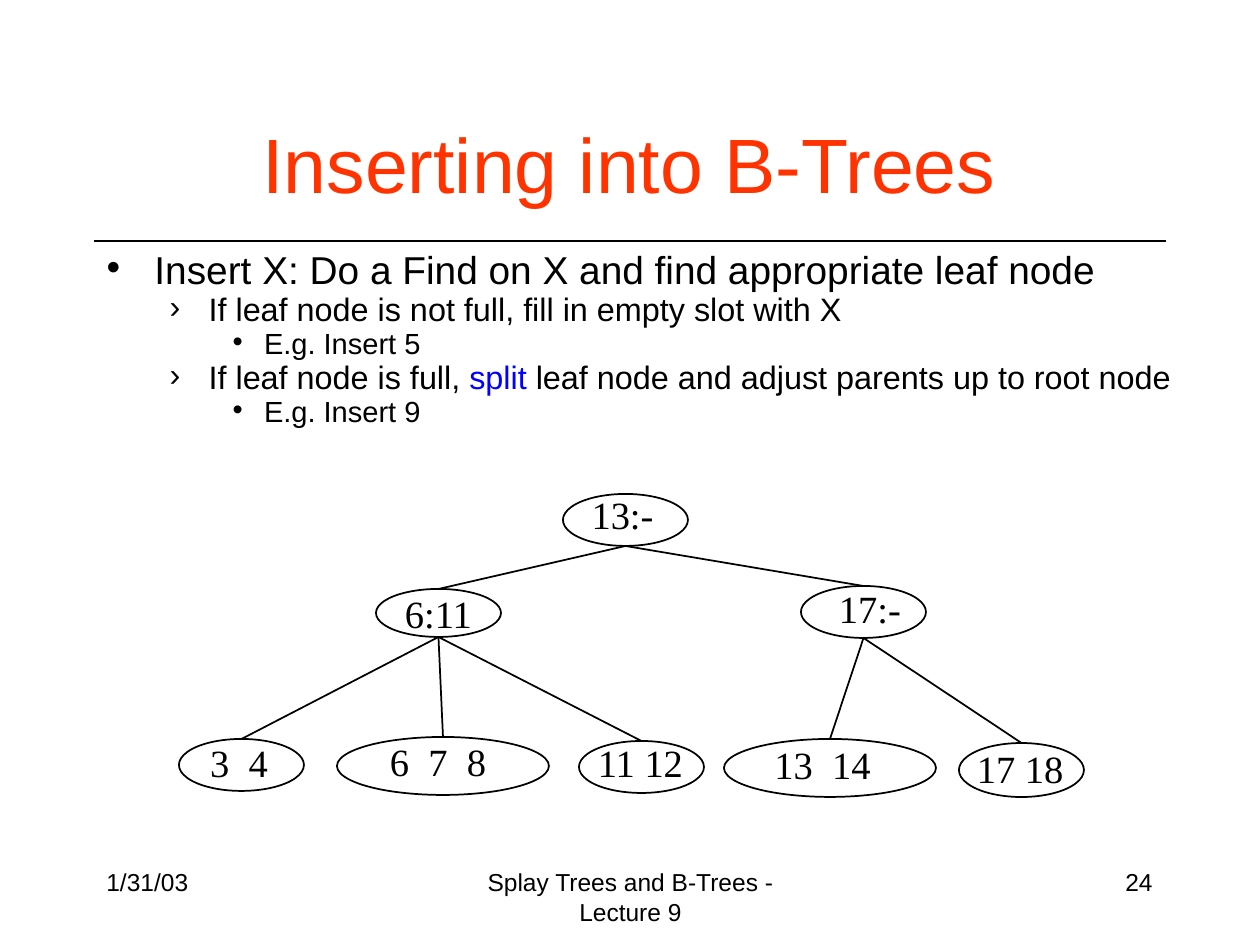
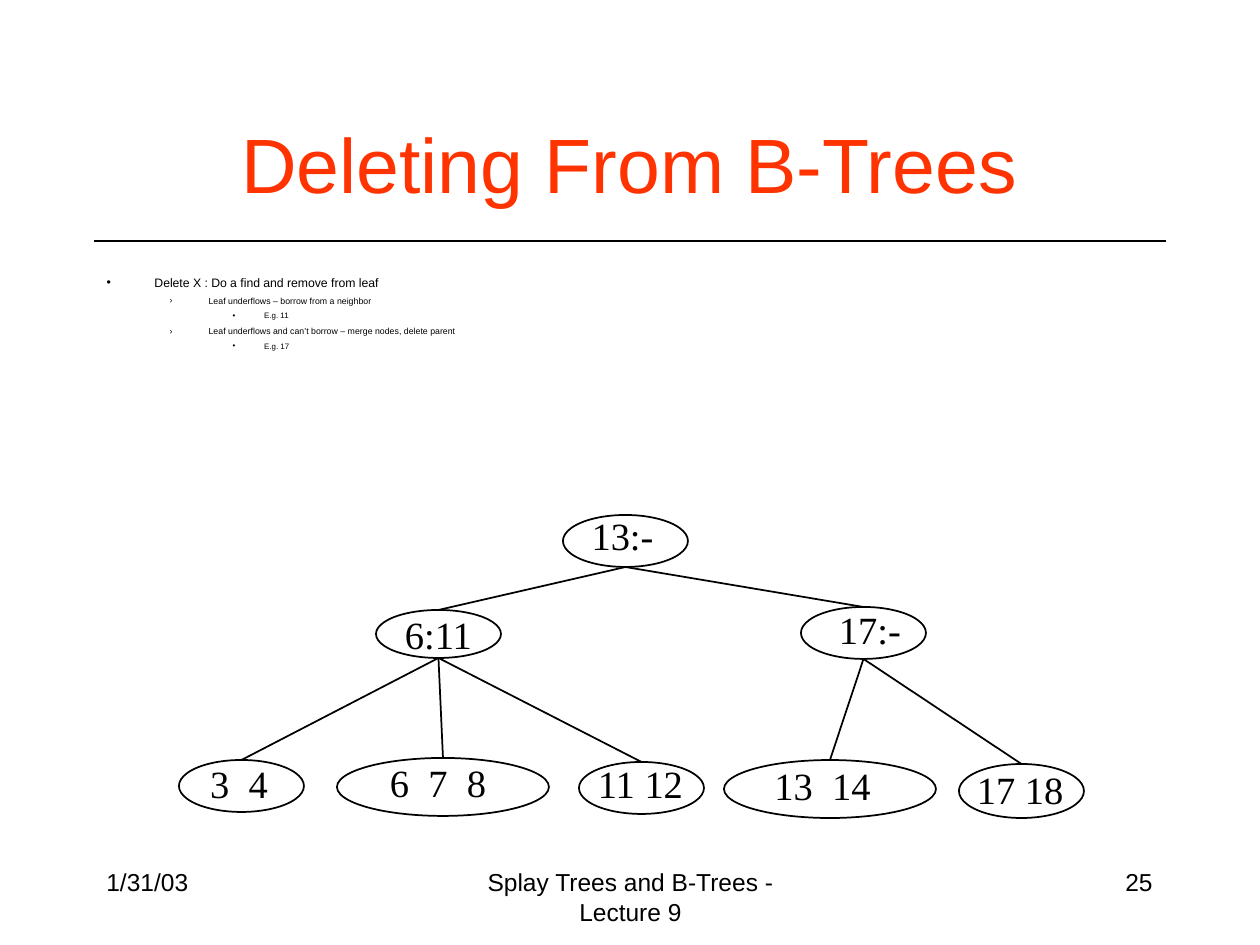
"""Builds two lecture slides on inserting into and deleting from B-trees."""
from lxml.etree import SubElement
from pptx import Presentation
from pptx.dml.color import RGBColor
from pptx.enum.shapes import MSO_CONNECTOR, MSO_SHAPE
from pptx.enum.text import MSO_ANCHOR, MSO_AUTO_SIZE, PP_ALIGN
from pptx.oxml.ns import qn
from pptx.util import Emu, Inches, Pt

PIXELS_PER_INCH = 126
BLACK, RED, BLUE = "000000", "FF3300", "0000FF"
SANS, SERIF = "Arial", "Times New Roman"
LEVELS = [("•", 0.38, 0.38), ("›", 0.81, 0.31), ("•", 1.25, 0.25)]

NODES = {
    "13:-": ((563, 494, 125, 52), (587, 498, 71)),
    "6:11": ((376, 589, 125, 48), (393, 597, 91)),
    "17:-": ((801, 586, 125, 52), (832, 592, 76)),
    "3  4": ((179, 739, 125, 52), (209, 746, 60)),
    "6  7  8": ((337, 737, 212, 58), (388, 745, 100)),
    "11 12": ((579, 741, 125, 52), (583, 746, 115)),
    "13  14": ((724, 739, 212, 58), (772, 748, 101)),
    "17 18": ((959, 743, 125, 54), (974, 752, 92)),
}
CHILDREN = {
    "13:-": ["6:11", "17:-"],
    "6:11": ["3  4", "6  7  8", "11 12"],
    "17:-": ["13  14", "17 18"],
}
LABEL_HEIGHT = 39


def px(length):
    """Turn pixels into EMU."""
    return Emu(round(length * Inches(1) / PIXELS_PER_INCH))


def color(value):
    """Turn a hex string into a colour."""
    return RGBColor.from_string(value)


class LectureDeck:
    """Holds the lecture style and the current slide."""

    def __init__(self):
        """Start an empty 10 by 7.5 inch deck."""
        self.deck = Presentation()
        self.deck.slide_width, self.deck.slide_height = Inches(10), Inches(7.5)
        self.slide = None

    def start_slide(self, title, number):
        """Add a slide with its title, rule and footers."""
        self.slide = self.deck.slides.add_slide(self.deck.slide_layouts[1])
        box = self.slide.shapes.title
        self.place(box, 94, 84, 1071, 158)
        frame = box.text_frame
        frame.text = title
        frame.vertical_anchor = MSO_ANCHOR.MIDDLE
        frame.auto_size = MSO_AUTO_SIZE.NONE
        frame.paragraphs[0].alignment = PP_ALIGN.CENTER
        self.style(frame.paragraphs[0].runs[0], 44, SANS, RED)
        self.line(94, 241, 1166, 241, 0.75)
        self.footer("1/31/03", 94, 262, PP_ALIGN.LEFT)
        self.footer("Splay Trees and B-Trees - Lecture 9", 431, 399, PP_ALIGN.CENTER)
        self.footer(str(number), 903, 262, PP_ALIGN.RIGHT)

    def place(self, shape, left, top, width, height):
        """Move and size a shape."""
        shape.left, shape.top = px(left), px(top)
        shape.width, shape.height = px(width), px(height)

    def style(self, span, size, font, hex_color=BLACK):
        """Format one run."""
        span.font.size = Pt(size)
        span.font.name = font
        span.font.color.rgb = color(hex_color)

    def text(self, text, left, top, width, height, size, font, alignment):
        """Add a text box of one paragraph."""
        box = self.slide.shapes.add_textbox(px(left), px(top), px(width), px(height))
        frame = box.text_frame
        frame.text = text
        frame.word_wrap = True
        frame.paragraphs[0].alignment = alignment
        self.style(frame.paragraphs[0].runs[0], size, font)
        return frame

    def footer(self, text, left, width, alignment):
        """Add one footer text."""
        self.text(text, left, 861, width, 63, 14, SANS, alignment)

    def line(self, x1, y1, x2, y2, weight=1):
        """Add a straight black line without shadow."""
        line = self.slide.shapes.add_connector(
            MSO_CONNECTOR.STRAIGHT, px(x1), px(y1), px(x2), px(y2))
        line.line.color.rgb = color(BLACK)
        line.line.width = Pt(weight)
        SubElement(line._element.spPr, qn("a:effectLst"))
        return line

    def bullets(self, area, items, sizes, spaces):
        """Fill the body with levelled items, colouring every second piece blue."""
        body = self.slide.placeholders[1]
        self.place(body, *area)
        frame = body.text_frame
        frame.auto_size = MSO_AUTO_SIZE.NONE
        for index, (level, *pieces) in enumerate(items):
            para = frame.add_paragraph() if index else frame.paragraphs[0]
            para.level = level
            para.line_spacing = 0.7
            para.space_before = Pt(spaces[level])
            self.bullet(para, *LEVELS[level])
            for position, piece in enumerate(pieces):
                span = para.add_run()
                span.text = piece
                self.style(span, sizes[level], SANS, BLUE if position % 2 else BLACK)

    def bullet(self, para, mark, margin, hanging):
        """Give a paragraph its bullet mark and indents."""
        properties = para._p.get_or_add_pPr()
        properties.set("marL", str(Inches(margin)))
        properties.set("indent", str(-Inches(hanging)))
        SubElement(properties, qn("a:buChar"), char=mark)

    def node(self, name, oval_area, label_area, shift):
        """Add an oval tree node with its centred label."""
        left, top, width, height = oval_area
        oval = self.slide.shapes.add_shape(
            MSO_SHAPE.OVAL, px(left), px(top + shift), px(width), px(height))
        oval.shadow.inherit = False
        oval.fill.background()
        oval.line.color.rgb = color(BLACK)
        oval.line.width = Pt(1)
        left, top, width = label_area
        frame = self.text(name, left, top + shift, width, LABEL_HEIGHT,
                          22, SERIF, PP_ALIGN.CENTER)
        frame.margin_left = frame.margin_right = 0
        frame.margin_top = frame.margin_bottom = 0
        frame.paragraphs[0].line_spacing = 0.85
        return oval

    def tree(self, shift=0):
        """Draw the B-tree, moved down by shift."""
        ovals = {name: self.node(name, *areas, shift) for name, areas in NODES.items()}
        for parent, children in CHILDREN.items():
            left, top, width, height = NODES[parent][0]
            for child in children:
                child_left, child_top, child_width, _ = NODES[child][0]
                edge = self.line(left + width / 2, top + height + shift,
                                 child_left + child_width / 2, child_top + shift)
                edge.end_connect(ovals[child], 0)


def main():
    """Build both slides and save the deck."""
    lecture = LectureDeck()

    lecture.start_slide("Inserting into B-Trees", 24)
    lecture.bullets((94, 252, 1102, 220), [
        (0, "Insert X: Do a Find on X and find appropriate leaf node"),
        (1, "If leaf node is not full, fill in empty slot with X"),
        (2, "E.g. Insert 5"),
        (1, "If leaf node is full, ", "split",
         " leaf node and adjust parents up to root node"),
        (2, "E.g. Insert 9"),
    ], sizes=(22.2, 18.5, 16.6), spaces=(6, 5, 4.5))
    lecture.tree()

    lecture.start_slide("Deleting From B-Trees", 25)
    lecture.bullets((94, 273, 1071, 63), [
        (0, "Delete X : Do a find and remove from leaf"),
        (1, "Leaf underflows – borrow from a neighbor"),
        (2, "E.g. 11"),
        (1, "Leaf underflows and can’t borrow – merge nodes, delete parent"),
        (2, "E.g. 17"),
    ], sizes=(7, 5, 4.5), spaces=(7, 5, 4.5))
    lecture.tree(shift=21)

    lecture.deck.save("out.pptx")


if __name__ == "__main__":
    main()
